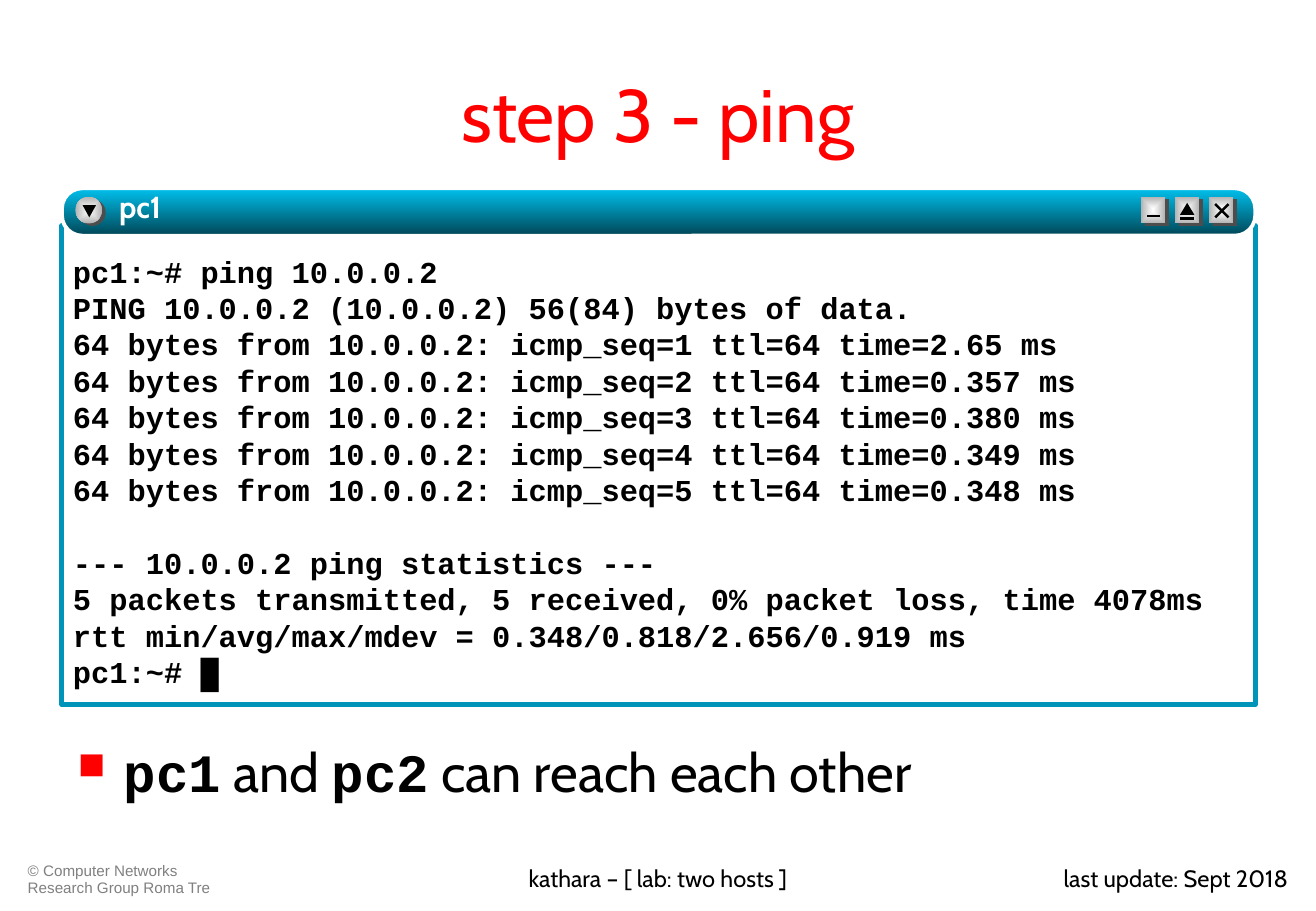
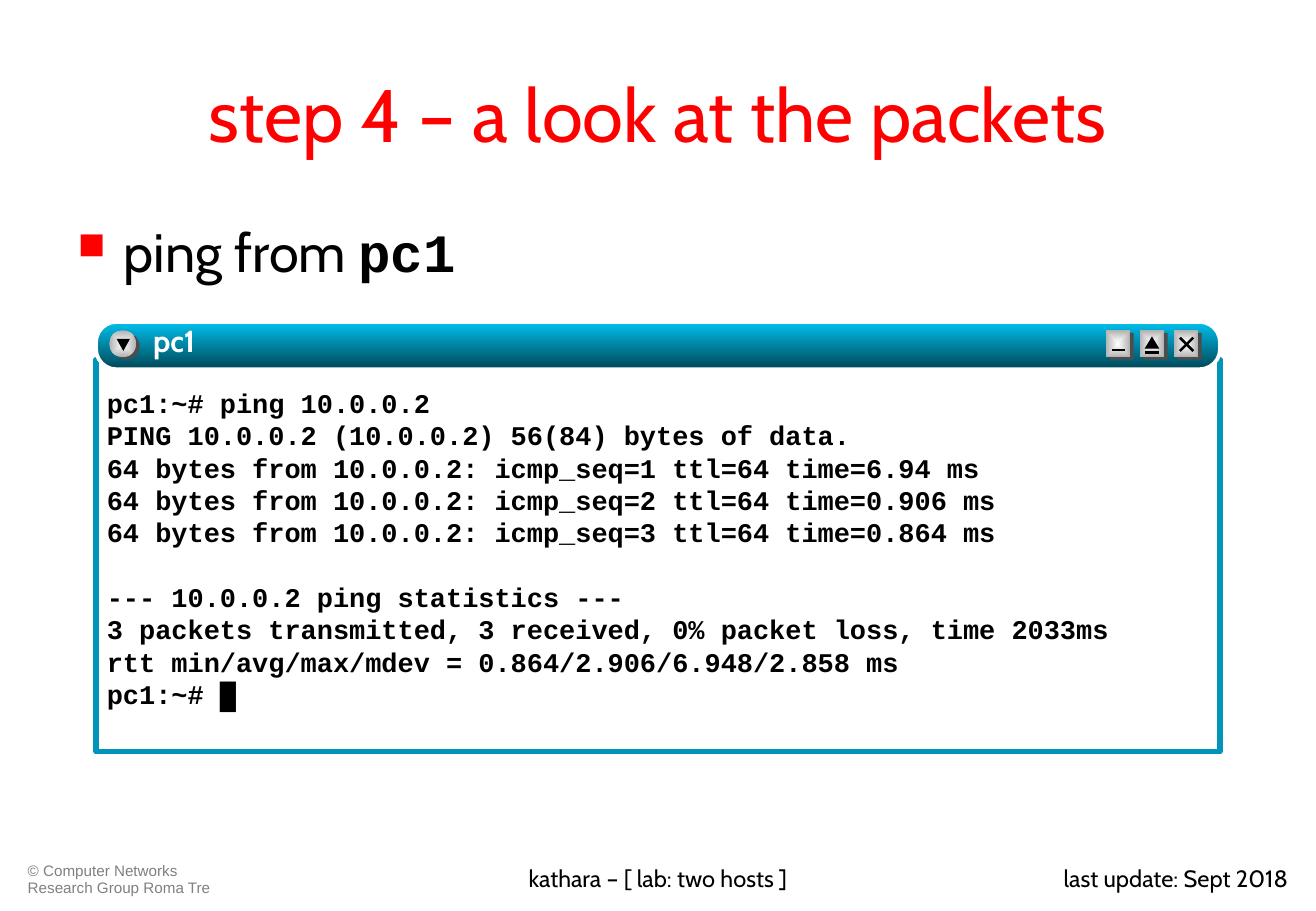
from lxml.etree import SubElement
from pptx import Presentation
from pptx.dml.color import RGBColor
from pptx.enum.shapes import MSO_CONNECTOR as Connector, MSO_SHAPE as Shape
from pptx.enum.text import MSO_ANCHOR as Anchor, PP_ALIGN as Align
from pptx.oxml.ns import qn
from pptx.util import Inches, Pt

COLORS = {
    "title": "FF0000", "text": "000000", "muted": "808080", "white": "FFFFFF",
    "frame": "0095B8", "bar_top": "00C1EE", "bar_bottom": "004656",
    "button_edge": "B2B2B2", "button_shadow": "4D4D4D",
}
SANS, MONO, SMALL = "Cabin", "Courier New", "Arial"


def rgb(name):
    return RGBColor.from_string(COLORS[name])


class Deck:
    """Holds the shared style and draws elements on the current slide."""

    def __init__(self):
        self.presentation = Presentation()
        self.presentation.slide_width = Inches(10.83)
        self.presentation.slide_height = Inches(7.5)
        self.slide = None

    def new_slide(self, title):
        self.slide = self.presentation.slides.add_slide(self.presentation.slide_layouts[6])
        copyright_box = self.text(0.13, 7.06, 1.88, 0.36,
                                  ["© Computer Networks Research Group Roma Tre"], 9, SMALL, "muted")
        copyright_box.text_frame.paragraphs[0].line_spacing = 0.9
        self.text(8.23, 7.06, 2.47, 0.36, ["last update: Sept 2018"], 14, align=Align.RIGHT)
        self.text(2.77, 7.06, 5.29, 0.36, ["kathara – [ lab: two hosts ]"], 14, align=Align.CENTER)
        self.text(0.54, 0.3, 9.75, 1.25, [title], 44, color="title",
                  align=Align.CENTER, anchor=Anchor.MIDDLE)

    def text(self, left, top, width, height, lines, size, font=SANS, color="text",
             bold=False, align=Align.LEFT, anchor=Anchor.TOP, insets=(0.1, 0.05)):
        box = self.slide.shapes.add_textbox(Inches(left), Inches(top), Inches(width), Inches(height))
        frame = box.text_frame
        frame.word_wrap = True
        frame.vertical_anchor = anchor
        frame.margin_left = frame.margin_right = Inches(insets[0])
        frame.margin_top = frame.margin_bottom = Inches(insets[1])
        for index, line in enumerate(lines):
            paragraph = frame.add_paragraph() if index else frame.paragraphs[0]
            paragraph.text = line
            paragraph.alignment = align
            self.style(paragraph.font, size, font, color, bold)
        return box

    def style(self, target, size, font, color, bold):
        target.size = Pt(size)
        target.name = font
        target.bold = bold
        target.color.rgb = rgb(color)

    def bullet(self, top, height, runs):
        box = self.text(0.54, top, 9.75, height, [""], 32)
        paragraph = box.text_frame.paragraphs[0]
        properties = paragraph._p.get_or_add_pPr()
        properties.set("marL", str(Inches(0.38)))
        properties.set("indent", str(-Inches(0.38)))
        defaults = properties.find(qn("a:defRPr"))
        properties.remove(defaults)
        color = SubElement(properties, qn("a:buClr"))
        SubElement(color, qn("a:srgbClr"), val=COLORS["title"])
        SubElement(properties, qn("a:buSzPct"), val="70000")
        SubElement(properties, qn("a:buChar"), char="■")
        properties.append(defaults)
        for content, is_code in runs:
            run = paragraph.add_run()
            run.text = content
            self.style(run.font, 32, MONO if is_code else SANS, "text", is_code)

    def shape(self, kind, left, top, width, height, fill, line=None, line_width=0):
        shape = self.slide.shapes.add_shape(
            kind, Inches(left), Inches(top), Inches(width), Inches(height))
        shape.shadow.inherit = False
        if isinstance(fill, tuple):
            shape.fill.gradient()
            shape.fill.gradient_angle = 270
            for stop, position, name in zip(shape.fill.gradient_stops, (0, 1), fill):
                stop.position = position
                stop.color.rgb = rgb(name)
        else:
            shape.fill.solid()
            shape.fill.fore_color.rgb = rgb(fill)
        if line:
            shape.line.color.rgb = rgb(line)
            shape.line.width = Pt(line_width)
        else:
            shape.line.fill.background()
        return shape

    def line(self, x1, y1, x2, y2):
        connector = self.slide.shapes.add_connector(
            Connector.STRAIGHT, Inches(x1), Inches(y1), Inches(x2), Inches(y2))
        connector.line.color.rgb = rgb("text")
        connector.line.width = Pt(1.5)
        SubElement(connector._element.spPr, qn("a:effectLst"))

    def button(self, kind, left, top, width):
        self.shape(kind, left + 0.03, top + 0.02, width, 0.22, "button_shadow")
        face = self.shape(kind, left, top, width, 0.22, ("white", "button_edge"))
        gradient = face._element.spPr.find(qn("a:gradFill"))
        gradient.remove(gradient.find(qn("a:lin")))
        center = SubElement(gradient, qn("a:path"), path="shape")
        SubElement(center, qn("a:fillToRect"), l="50000", t="50000", r="50000", b="50000")

    def window_buttons(self, left, top, right):
        self.button(Shape.OVAL, left + 0.11, top + 0.07, 0.22)
        menu = self.shape(Shape.ISOSCELES_TRIANGLE, left + 0.17, top + 0.14, 0.11, 0.1, "text")
        menu._element.spPr.find(qn("a:xfrm")).set("flipV", "1")
        minimize, maximize, close = (right - 0.94 + 0.28 * index for index in range(3))
        for x in (minimize, maximize, close):
            self.button(Shape.RECTANGLE, x, top + 0.07, 0.2)
        self.line(minimize + 0.05, top + 0.23, minimize + 0.16, top + 0.23)
        self.line(maximize + 0.04, top + 0.25, maximize + 0.16, top + 0.25)
        self.shape(Shape.ISOSCELES_TRIANGLE, maximize + 0.04, top + 0.12, 0.12, 0.1, "text")
        for start, end in ((0.24, 0.13), (0.13, 0.24)):
            self.line(close + 0.05, top + start, close + 0.16, top + end)

    def terminal(self, left, top, width, height, size, output, statistics):
        self.shape(Shape.RECTANGLE, left, top + 0.31, width, height, "white", "frame", 3)
        console = self.text(left + 0.01, top + 0.49, width - 0.01, height - 0.18,
                            output + statistics, size, MONO, bold=True, insets=(0.08, 0.04))
        console.text_frame.paragraphs[len(output)].space_before = Pt(1.2 * size)
        bar = self.shape(Shape.ROUNDED_RECTANGLE, left, top, width, 0.39,
                         ("bar_top", "bar_bottom"), "white", 2.25)
        bar.adjustments[0] = 0.43
        self.window_buttons(left, top, left + width)
        name = self.text(left + 0.47, top, 7.24, 0.39, ["pc1"], 18,
                         color="white", bold=True, insets=(0, 0))
        properties = name.text_frame.paragraphs[0].runs[0]._r.get_or_add_rPr()
        effects = SubElement(properties, qn("a:effectLst"))
        shadow = SubElement(effects, qn("a:outerShdw"), dist=str(Pt(2)), dir="2700000")
        SubElement(shadow, qn("a:srgbClr"), val=COLORS["text"])


def ping_output(times):
    return ["pc1:~# ping 10.0.0.2", "PING 10.0.0.2 (10.0.0.2) 56(84) bytes of data."] + [
        f"64 bytes from 10.0.0.2: icmp_seq={number} ttl=64 time={time} ms"
        for number, time in enumerate(times, 1)]


def ping_statistics(count, total, round_trip):
    return ["--- 10.0.0.2 ping statistics ---",
            f"{count} packets transmitted, {count} received, 0% packet loss, time {total}ms",
            f"rtt min/avg/max/mdev = {round_trip} ms",
            "pc1:~# █"]


def main():
    deck = Deck()

    deck.new_slide("step 3 - ping")
    deck.terminal(0.51, 1.55, 9.82, 3.94, 18,
                  ping_output(["2.65", "0.357", "0.380", "0.349", "0.348"]),
                  ping_statistics(5, 4078, "0.348/0.818/2.656/0.919"))
    deck.bullet(6.03, 0.67, [("pc1", True), (" and ", False), ("pc2", True),
                             (" can reach each other", False)])

    deck.new_slide("step 4 – a look at the packets")
    deck.bullet(1.75, 4.95, [("ping from ", False), ("pc1", True)])
    deck.terminal(0.79, 2.65, 9.25, 3.23, 16,
                  ping_output(["6.94", "0.906", "0.864"]),
                  ping_statistics(3, 2033, "0.864/2.906/6.948/2.858"))

    deck.presentation.save("out.pptx")


if __name__ == "__main__":
    main()
